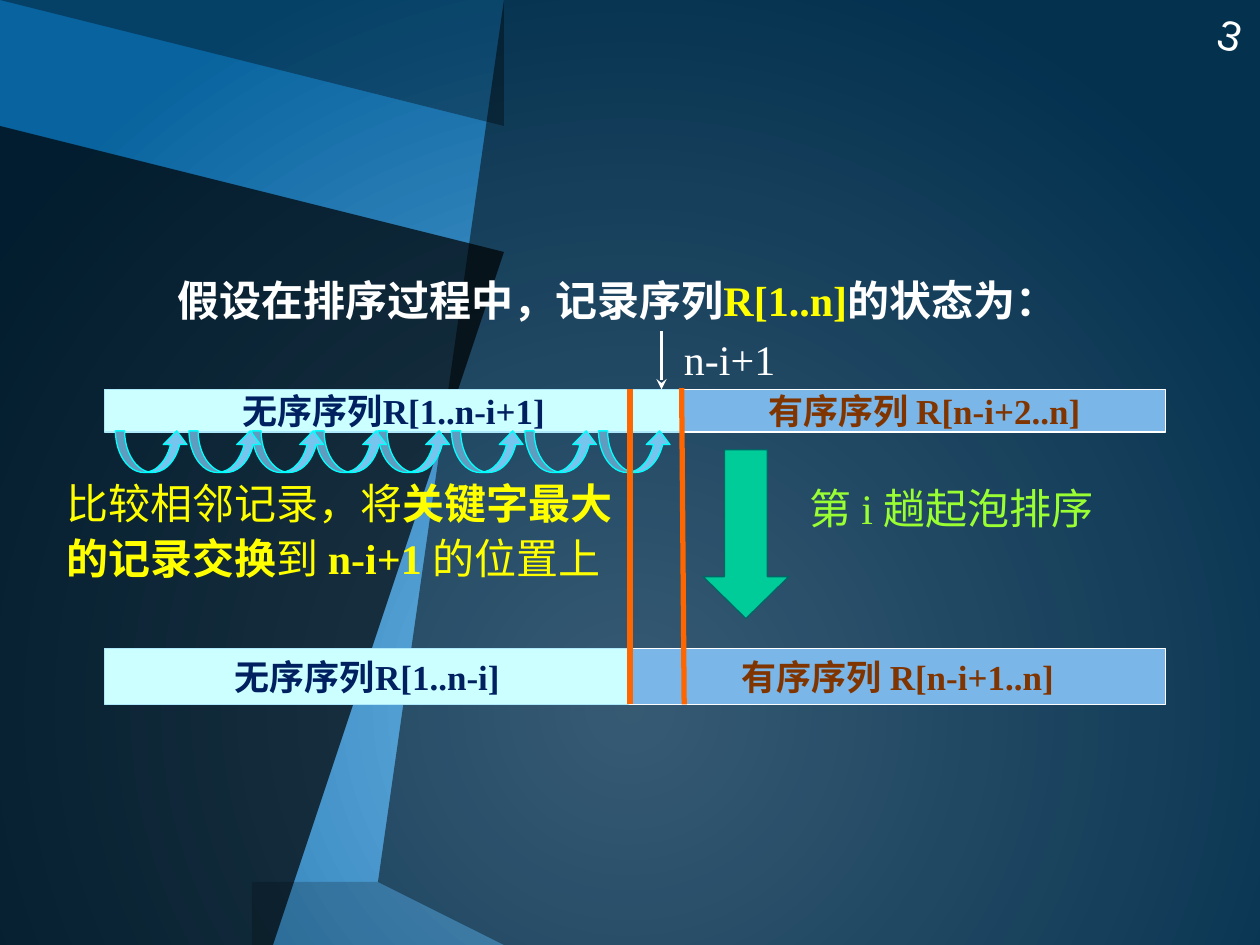
from lxml.etree import SubElement
from pptx import Presentation
from pptx.dml.color import RGBColor
from pptx.enum.shapes import MSO_CONNECTOR, MSO_SHAPE
from pptx.enum.text import MSO_ANCHOR as ANCHOR, PP_ALIGN as ALIGN
from pptx.oxml.ns import qn
from pptx.util import Inches, Pt

WIDTH, HEIGHT = 10, 7.5
SERIF = "Times New Roman"
WHITE, YELLOW, ORANGE = "FFFFFF", "FFFF00", "FF6600"
GLOW = ("70B6E8", "08639E")

PANELS = [
    (70, [(0, 0.53), (3.73, 1.54), (3.78, 1.55, 3.81, 1.6, 3.79, 1.65), (2.21, 7.5), (0, 7.5)]),
    (35, [(0, 0), (4.23, 0), (3.86, 1.38), (3.85, 1.43, 3.8, 1.45, 3.75, 1.44), (0, 0.43)]),
    (20, [(2.51, 6.96), (2.52, 6.95, 2.54, 6.95, 2.55, 6.96), (4.55, 7.5), (2.31, 7.5),
          (2.44, 7.02), (2.45, 6.99, 2.48, 6.96, 2.51, 6.96)]),
    (50, [(4.34, 0), (10, 0), (10, 7.5), (4.95, 7.5), (2.58, 6.86),
          (2.53, 6.85, 2.51, 6.8, 2.52, 6.75)]),
]

HEADING = [("假设在排序过程中，记录序列", WHITE, True), ("R[1..n]", YELLOW, True),
           ("的状态为：", WHITE, True)]
PASS_LABEL = [("第 i 趟起泡排序", "99FF33", False)]
INDEX_LABEL = [("n-i+1", WHITE, False)]
EXPLANATION = [("比较相邻记录，将", YELLOW, False), ("关键字最大的记录交换", YELLOW, True),
               ("到 ", YELLOW, False), ("n-i+1 ", YELLOW, True), ("的位置上", YELLOW, False)]

BAR_LEFT, BAR_RIGHT = 0.83, 9.25
ROWS = [
    (3.09, 0.34, 5.42, "无序序列R[1..n-i+1]", "有序序列 R[n-i+2..n]"),
    (5.15, 0.44, 5.0, "无序序列R[1..n-i]", "有序序列 R[n-i+1..n]"),
]
UNSORTED = ("CCFFFF", "AEE8FB", "002060")
SORTED = ("7AB6E8", WHITE, "803400")

HOP_GRID = 1 / 12
HOP_COLUMNS = [11, 18, 24, 30, 36, 43, 50, 57]
DIVIDERS = [(5.41, 3.08, 5.43, 5.59), (5, 3.09, 5, 5.59)]


def color(value):
    return RGBColor.from_string(value)


def box(*lengths):
    return [Inches(length) for length in lengths]


def write(shape, runs, size, font=SERIF, align=ALIGN.LEFT, spacing=1.0):
    paragraph = shape.text_frame.paragraphs[0]
    paragraph.alignment = align
    paragraph.line_spacing = spacing
    for text, ink, bold in runs:
        run = paragraph.add_run()
        run.text = text
        run.font.name = font
        run.font.size = Pt(size)
        run.font.bold = bold
        run.font.color.rgb = color(ink)


def add_text(slide, place, runs, wrap=True, **style):
    shape = slide.shapes.add_textbox(*box(*place))
    shape.text_frame.word_wrap = wrap
    write(shape, runs, 24, **style)
    return shape


def add_preset(slide, kind, place, fill, line, adjustments=()):
    shape = slide.shapes.add_shape(kind, *box(*place))
    shape.shadow.inherit = False
    shape.fill.solid()
    shape.fill.fore_color.rgb = color(fill)
    shape.line.color.rgb = color(line)
    shape.line.width = Pt(0.75)
    for index, value in enumerate(adjustments):
        shape.adjustments[index] = value
    return shape


def add_bar(slide, place, text, style):
    fill, line, ink = style
    shape = add_preset(slide, MSO_SHAPE.RECTANGLE, place, fill, line)
    shape.text_frame.word_wrap = False
    shape.text_frame.vertical_anchor = ANCHOR.MIDDLE
    write(shape, [(text, ink, True)], 20, align=ALIGN.CENTER)


def add_line(slide, ends, ink, width, head=None):
    connector = slide.shapes.add_connector(MSO_CONNECTOR.STRAIGHT, *box(*ends))
    connector.line.color.rgb = color(ink)
    connector.line.width = Pt(width)
    if head:
        SubElement(connector.line._get_or_add_ln(), qn("a:tailEnd"), type=head)
    SubElement(connector._element.spPr, qn("a:effectLst"))


def flatten(outline, steps=6):
    points = []
    for entry in outline:
        if len(entry) == 2:
            points.append(entry)
            continue
        controls = [points[-1], entry[:2], entry[2:4], entry[4:]]
        for step in range(1, steps + 1):
            t = step / steps
            weights = ((1 - t) ** 3, 3 * t * (1 - t) ** 2, 3 * t * t * (1 - t), t ** 3)
            points.append(tuple(sum(weight * control[axis] for weight, control
                                    in zip(weights, controls)) for axis in (0, 1)))
    return points


def add_panel(slide, opacity, outline):
    start, *others = flatten(outline)
    builder = slide.shapes.build_freeform(*start, scale=Inches(1))
    builder.add_line_segments(others, close=True)
    shape = builder.convert_to_shape()
    shape.shadow.inherit = False
    shape.line.fill.background()
    shape.fill.solid()
    shape.fill.fore_color.rgb = color("000000")
    ink = shape._element.spPr.find(qn("a:solidFill"))[0]
    SubElement(ink, qn("a:alpha"), val=str(opacity * 1000))


def paint_background(slide):
    fill = slide.background.fill
    fill.gradient()
    for stop, ink in zip(fill.gradient_stops, GLOW):
        stop.color.rgb = color(ink)
    gradient = slide.background._cSld.find(".//" + qn("a:gradFill"))
    gradient.remove(gradient.find(qn("a:lin")))
    circle = SubElement(gradient, qn("a:path"), path="circle")
    SubElement(circle, qn("a:fillToRect"), l="50000", t="50000", r="50000", b="0")


def main():
    presentation = Presentation()
    presentation.slide_width, presentation.slide_height = box(WIDTH, HEIGHT)
    slide = presentation.slides.add_slide(presentation.slide_layouts[6])
    paint_background(slide)
    for opacity, outline in PANELS:
        add_panel(slide, opacity, outline)

    number = add_text(slide, (7.49, -0.2, 2.5, 0.4), [("3", WHITE, False)],
                      font="Arial", align=ALIGN.RIGHT)
    number.text_frame.vertical_anchor = ANCHOR.MIDDLE
    number.rotation = 15

    add_text(slide, (1.31, 2.05, 8.69, 0.54), HEADING, spacing=1.2)
    add_text(slide, (6.33, 3.72, 3.67, 0.52), PASS_LABEL, spacing=1.15)
    add_text(slide, (5.33, 2.6, 0.93, 0.5), INDEX_LABEL, wrap=False)
    add_text(slide, (0.43, 3.7, 4.6, 0.98), EXPLANATION, spacing=1.1)

    for top, height, split, unsorted_text, sorted_text in ROWS:
        add_bar(slide, (BAR_LEFT, top, split - BAR_LEFT, height), unsorted_text, UNSORTED)
        add_bar(slide, (split, top, BAR_RIGHT - split, height), sorted_text, SORTED)

    add_line(slide, (5.25, 2.63, 5.25, 3.09), WHITE, 1.5, head="stealth")
    add_preset(slide, MSO_SHAPE.DOWN_ARROW, (5.58, 3.57, 0.68, 1.34),
               "00CC99", "006666", (0.5, 0.49))
    for column in reversed(HOP_COLUMNS):
        add_preset(slide, MSO_SHAPE.CURVED_UP_ARROW, (column * HOP_GRID, 3.42, 0.58, 0.33),
                   "76C5EF", "00FFFF", (0.22, 0.57, 0.33))
    for ends in DIVIDERS:
        add_line(slide, ends, ORANGE, 3)

    presentation.save("out.pptx")


if __name__ == "__main__":
    main()
